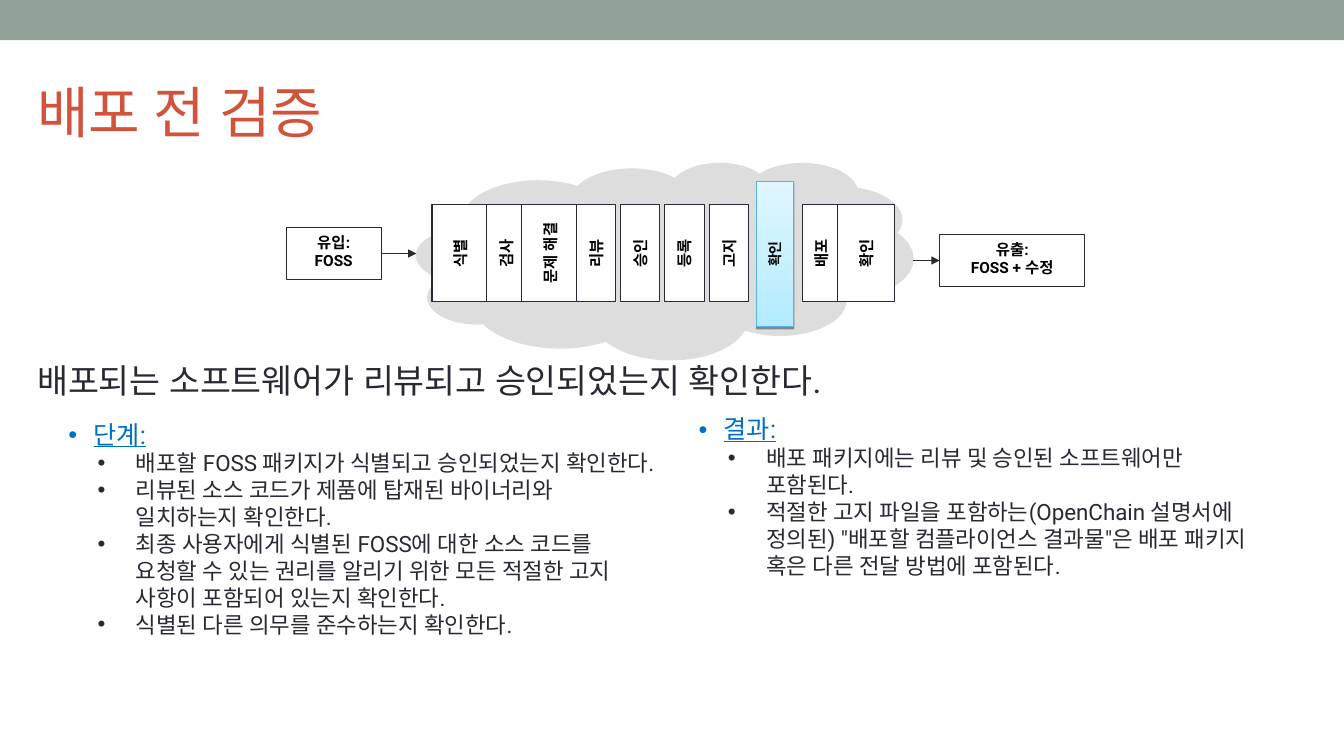
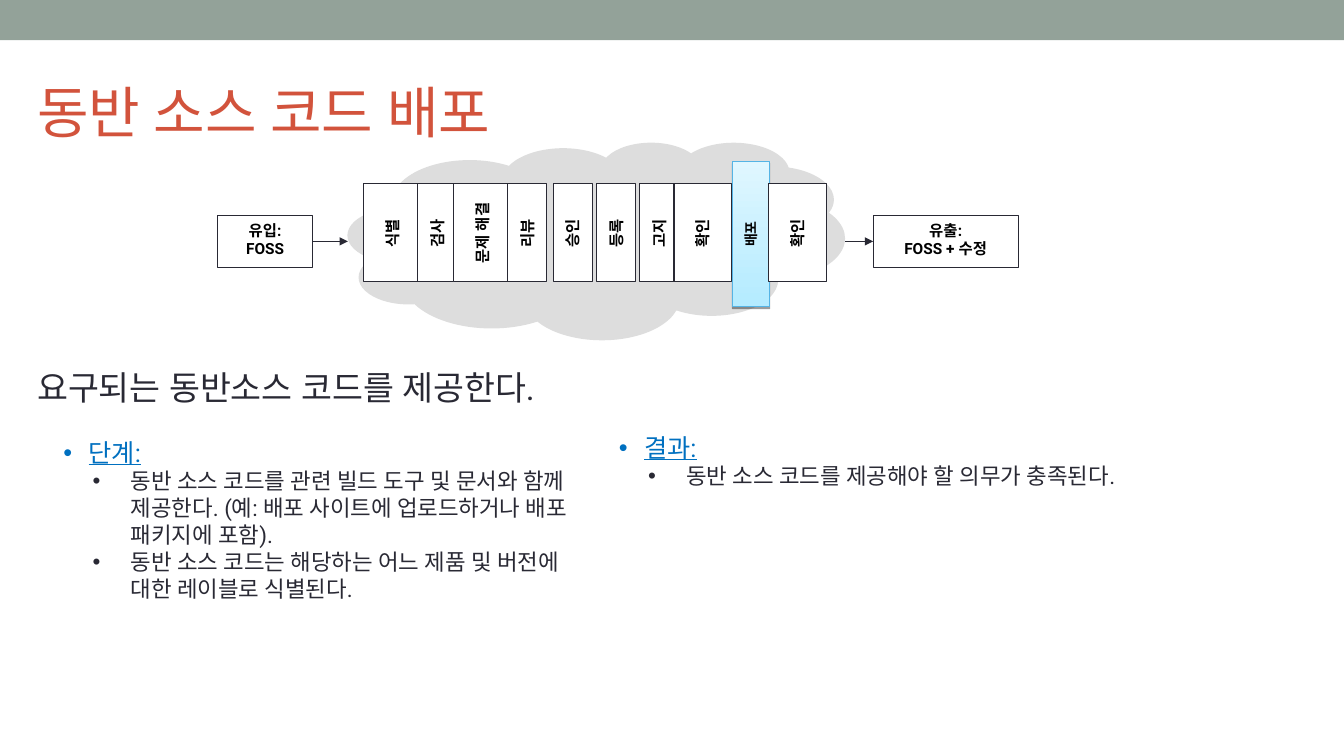
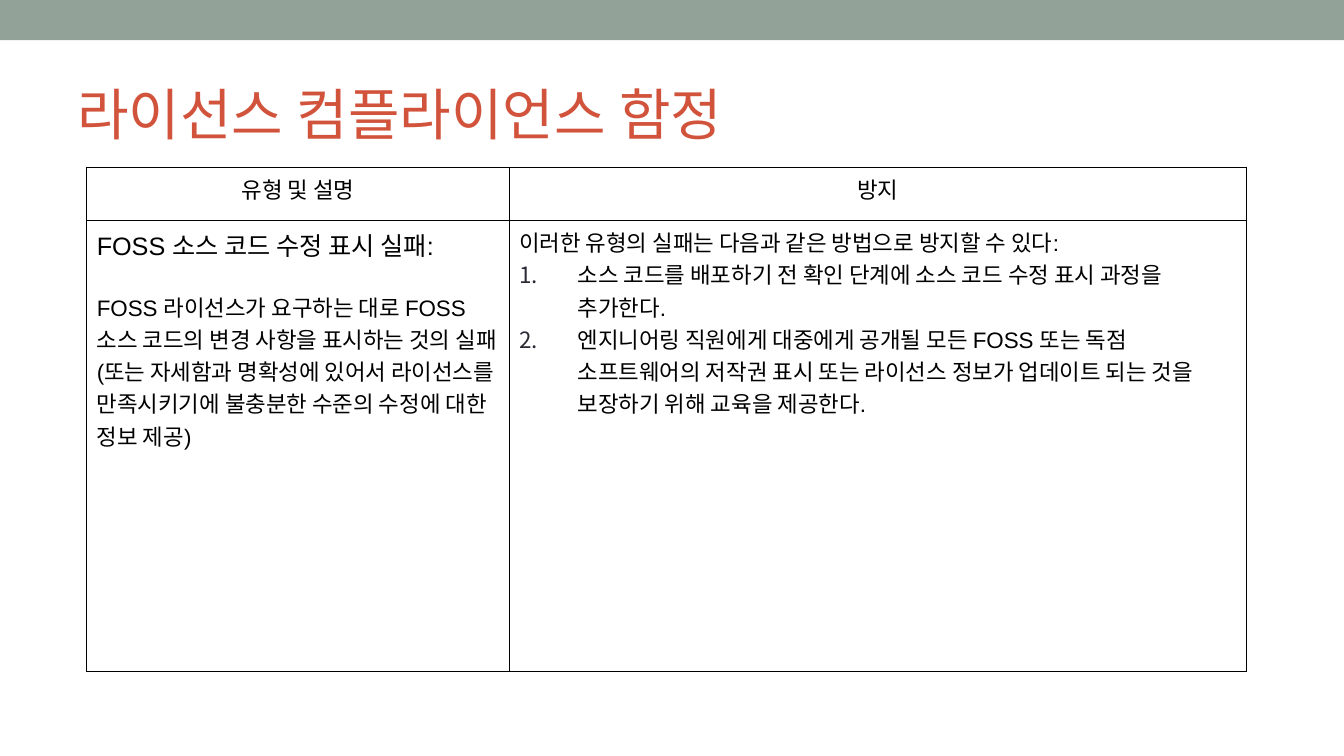
from lxml import etree
from pptx import Presentation
from pptx.dml.color import RGBColor
from pptx.enum import shapes, text
from pptx.oxml import ns
from pptx.util import Pt

PX = 9144  # EMU in one px, 100 px to the inch
BAND = RGBColor(0x93, 0xA2, 0x99)
TITLE = RGBColor(0xD2, 0x53, 0x3C)
INK = RGBColor(0x29, 0x29, 0x34)
BLUE = RGBColor(0x00, 0x70, 0xC0)
BLACK = RGBColor(0, 0, 0)
WHITE = RGBColor(0xFF, 0xFF, 0xFF)
CLOUD = RGBColor(0xDD, 0xDD, 0xDD)
GLOW_DARK = RGBColor(0xB4, 0xEB, 0xFF)
GLOW_LIGHT = RGBColor(0xE0, 0xF7, 0xFF)
GLOW_LINE = RGBColor(0x55, 0xB4, 0xE5)
FONT = "Roboto"
TABLE_FONT = "Arial"
RECT = shapes.MSO_SHAPE.RECTANGLE
CENTER = text.PP_ALIGN.CENTER
MIDDLE = text.MSO_ANCHOR.MIDDLE
CLOUD_W, CLOUD_H = 493, 196
WIDE, NARROW = 57, 39


# Shared helpers
def emu(*lengths):
    return [round(n * PX) for n in lengths]


def add_xml(parent, tag, **attrs):
    return etree.SubElement(parent, ns.qn(tag), {k: str(v) for k, v in attrs.items()})


def style(p, size, color, bold=None, underline=None, font=FONT):
    for r in p.runs:
        f = r.font
        f.name, f.size, f.bold, f.underline = font, Pt(size), bold, underline
        f.color.rgb = color
        if font == FONT:  # Korean text follows the Latin face
            add_xml(r._r.get_or_add_rPr(), "a:ea", typeface=font)


def bullet(p, left, hang, color, numbered=False):
    pPr = p._p.get_or_add_pPr()
    pPr.set("marL", str(left * PX))
    pPr.set("indent", str(-hang * PX))
    add_xml(add_xml(pPr, "a:buClr"), "a:srgbClr", val=color)
    add_xml(pPr, "a:buFont", typeface=FONT if numbered else "Arial")
    if numbered:
        add_xml(pPr, "a:buAutoNum", type="arabicPeriod")
    else:
        add_xml(pPr, "a:buChar", char="•")


def paragraphs(tf, lines):
    tf.text = lines[0]
    for line in lines[1:]:
        tf.add_paragraph().text = line
    return tf.paragraphs


def add_box(slide, x, y, w, h, fill, line=None, kind=RECT):
    sp = slide.shapes.add_shape(kind, *emu(x, y, w, h))
    sp.shadow.inherit = False
    if fill is not None:
        sp.fill.solid()
        sp.fill.fore_color.rgb = fill
    if line is None:
        sp.line.fill.background()
    else:
        sp.line.color.rgb = line
        sp.line.width = Pt(0.75)
    return sp


def add_text(slide, x, y, w, h, lines, anchor=text.MSO_ANCHOR.TOP):
    sp = slide.shapes.add_textbox(*emu(x, y, w, h))
    tf = sp.text_frame
    tf.word_wrap = True
    tf.vertical_anchor = anchor
    paragraphs(tf, lines)
    return sp


def add_arrow(slide, x1, y1, x2, y2):
    c = slide.shapes.add_connector(shapes.MSO_CONNECTOR.STRAIGHT, *emu(x1, y1, x2, y2))
    c.line.color.rgb = INK
    c.line.width = Pt(0.75)
    add_xml(c.line._get_or_add_ln(), "a:tailEnd", type="triangle")
    add_xml(c._element.spPr, "a:effectLst")
    return c


def new_slide(prs, title, x, y):
    slide = prs.slides.add_slide(prs.slide_layouts[6])
    add_box(slide, 0, 0, 1333, 40, BAND)
    sp = add_text(slide, x, y, 1200, 108, [title], MIDDLE)
    style(sp.text_frame.paragraphs[0], 40, TITLE)
    return slide


# Process diagram
def add_step(slide, cx, cy, width, label):
    """Upright box whose text reads upwards."""
    height = 97
    sp = add_box(slide, cx - height / 2, cy - width / 2, height, width, WHITE, INK)
    sp.rotation = 270
    tf = sp.text_frame
    tf.vertical_anchor = MIDDLE
    tf.text = label
    tf.paragraphs[0].alignment = CENTER
    style(tf.paragraphs[0], 11, BLACK, bold=True)


def add_active_step(slide, cx, cy, label):
    w, h = 37, 144
    sp = add_box(slide, cx - w / 2, cy - h / 2, w, h, None, GLOW_LINE)
    sp.fill.gradient()
    sp.fill.gradient_angle = 90
    for stop, color in zip(sp.fill.gradient_stops, (GLOW_DARK, GLOW_LIGHT)):
        stop.color.rgb = color
    effects = sp._element.spPr.find(ns.qn("a:effectLst"))
    shadow = add_xml(effects, "a:outerShdw", blurRad=0, dist=20000, dir=5400000, rotWithShape=0)
    add_xml(add_xml(shadow, "a:srgbClr", val=BLACK), "a:alpha", val=38000)
    caption = add_text(slide, cx - h / 2, cy - w / 2, h, w, [label], MIDDLE)
    caption.rotation = 270
    p = caption.text_frame.paragraphs[0]
    p.alignment = CENTER
    style(p, 10, BLACK, bold=True)


def add_terminal(slide, x, y, w, lines):
    sp = add_box(slide, x, y, w, 51, WHITE, INK)
    sp.text_frame.vertical_anchor = text.MSO_ANCHOR.TOP
    for p in paragraphs(sp.text_frame, lines):
        p.alignment = CENTER
        style(p, 11, BLACK, bold=True)
    return sp


def add_process(slide, x, y, steps, active, in_dy, out_dx, out_dy):
    """Cloud at x, y; steps are (label, centre from the cloud's left, width)."""
    cloud = add_box(slide, x, y, CLOUD_W, CLOUD_H, CLOUD, kind=shapes.MSO_SHAPE.CLOUD_CALLOUT)
    cloud.adjustments[0], cloud.adjustments[1] = -0.01, 0.12
    cy = y + 90
    label, cx, _ = steps[active]
    add_active_step(slide, x + cx, cy + 1, label)
    for i, (label, cx, width) in enumerate(steps):
        if i != active:
            add_step(slide, x + cx, cy, width, label)
    # Inflow and outflow
    source = add_terminal(slide, x - 129, y + in_dy, 94, ["유입:", "FOSS"])
    target = add_terminal(slide, x + out_dx, y + out_dy, 144, ["유출:", "FOSS + 수정"])
    mid_in, mid_out = y + in_dy + 25.5, y + out_dy + 25.5
    add_arrow(slide, x - 35, mid_in, x, mid_in).begin_connect(source, 3)
    add_arrow(slide, x + CLOUD_W, mid_out, x + out_dx, mid_out).end_connect(target, 1)


# Text regions
def add_lead(slide, y, line):
    sp = add_text(slide, 27, y, 1306, 50, [line])
    style(sp.text_frame.paragraphs[0], 24, INK)


def add_list(slide, x, y, w, h, heading, items):
    sp = add_text(slide, x, y, w, h, [heading, *items])
    head, *rest = sp.text_frame.paragraphs
    bullet(head, 25, 25, BLUE)
    head.line_spacing = 0.9
    style(head, 18, BLUE, underline=True)
    for p in rest:
        bullet(p, 67, 38, INK)
        style(p, 16, INK)


# Pitfall table
def format_cell(cell, lines):
    tcPr = cell._tc.get_or_add_tcPr()
    for side in ("a:lnL", "a:lnR", "a:lnT", "a:lnB"):
        ln = add_xml(tcPr, side, w=12700)
        add_xml(add_xml(ln, "a:solidFill"), "a:srgbClr", val=BLACK)
    cell.fill.background()
    ps = paragraphs(cell.text_frame, lines)
    for p in ps:
        style(p, 16, BLACK, font=TABLE_FONT)
    return ps


def add_pitfalls(slide, x, y, headers, failure, prevention):
    col_widths, row_heights = (419, 731), (53, 447)
    frame = slide.shapes.add_table(2, 2, *emu(x, y, sum(col_widths), sum(row_heights)))
    table = frame.table
    table.first_row = table.horz_banding = False
    for col, width in zip(table.columns, col_widths):
        col.width = width * PX
    for row, height in zip(table.rows, row_heights):
        row.height = height * PX
    for i, header in enumerate(headers):
        format_cell(table.cell(0, i), [header])[0].alignment = CENTER
    name, detail = format_cell(table.cell(1, 0), failure)
    name.runs[0].font.size = Pt(18)
    detail.space_before = Pt(20)
    for p in format_cell(table.cell(1, 1), prevention)[1:]:
        bullet(p, 58, 58, INK, numbered=True)


def verification_slide(prs):
    slide = new_slide(prs, "배포 전 검증", 27, 56)
    steps = [("식별", 44, WIDE), ("검사", 89, NARROW), ("문제 해결", 133, WIDE),
             ("리뷰", 178, NARROW), ("승인", 222, NARROW), ("등록", 266, NARROW),
             ("고지", 310, NARROW), ("확인", 356, WIDE), ("배포", 402, NARROW),
             ("확인", 446, WIDE)]
    add_process(slide, 413, 161, steps, 7, 65, 519, 72)
    add_lead(slide, 352, "배포되는 소프트웨어가 리뷰되고 승인되었는지 확인한다.")
    add_list(slide, 58, 414, 597, 303, "단계:", [
        "배포할 FOSS 패키지가 식별되고 승인되었는지 확인한다.",
        "리뷰된 소스 코드가 제품에 탑재된 바이너리와 일치하는지 확인한다.",
        "최종 사용자에게 식별된 FOSS에 대한 소스 코드를 요청할 수 있는 권리를 "
        "알리기 위한 모든 적절한 고지 사항이 포함되어 있는지 확인한다.",
        "식별된 다른 의무를 준수하는지 확인한다."])
    add_list(slide, 683, 409, 582, 293, "결과:", [
        "배포 패키지에는 리뷰 및 승인된 소프트웨어만 포함된다.",
        "적절한 고지 파일을 포함하는(OpenChain 설명서에 정의된) "
        "\"배포할 컴플라이언스 결과물\"은 배포 패키지 혹은 다른 전달 방법에 포함된다."])


def distribution_slide(prs):
    slide = new_slide(prs, "동반 소스 코드 배포", 27, 56)
    steps = [("식별", 44, WIDE), ("검사", 89, NARROW), ("문제 해결", 133, WIDE),
             ("리뷰", 178, NARROW), ("승인", 223, NARROW), ("등록", 266, NARROW),
             ("고지", 309, NARROW), ("확인", 352, WIDE), ("배포", 400, NARROW),
             ("확인", 446, WIDE)]
    add_process(slide, 345, 141, steps, 8, 73, 521, 73)
    add_lead(slide, 359, "요구되는 동반소스 코드를 제공한다.")
    add_list(slide, 53, 432, 540, 303, "단계:", [
        "동반 소스 코드를 관련 빌드 도구 및 문서와 함께 제공한다. "
        "(예: 배포 사이트에 업로드하거나 배포 패키지에 포함).",
        "동반 소스 코드는 해당하는 어느 제품 및 버전에 대한 레이블로 식별된다."])
    add_list(slide, 604, 427, 661, 252, "결과:", [
        "동반 소스 코드를 제공해야 할 의무가 충족된다."])


def pitfalls_slide(prs):
    slide = new_slide(prs, "라이선스 컴플라이언스 함정", 67, 58)
    add_pitfalls(
        slide, 86, 166, ["유형 및 설명", "방지"],
        ["FOSS 소스 코드 수정 표시 실패:",
         "FOSS 라이선스가 요구하는 대로 FOSS 소스 코드의 변경 사항을 표시하는 것의 실패 "
         "(또는 자세함과 명확성에 있어서 라이선스를 만족시키기에 불충분한 수준의 "
         "수정에 대한 정보 제공)"],
        ["이러한 유형의 실패는 다음과 같은 방법으로 방지할 수 있다:",
         "소스 코드를 배포하기 전 확인 단계에 소스 코드 수정 표시 과정을 추가한다.",
         "엔지니어링 직원에게 대중에게 공개될 모든 FOSS 또는 독점 소프트웨어의 저작권 표시 "
         "또는 라이선스 정보가 업데이트 되는 것을 보장하기 위해 교육을 제공한다."])


def main():
    prs = Presentation()
    prs.slide_width, prs.slide_height = emu(1333, 750)
    verification_slide(prs)
    distribution_slide(prs)
    pitfalls_slide(prs)
    prs.save("out.pptx")


if __name__ == "__main__":
    main()
